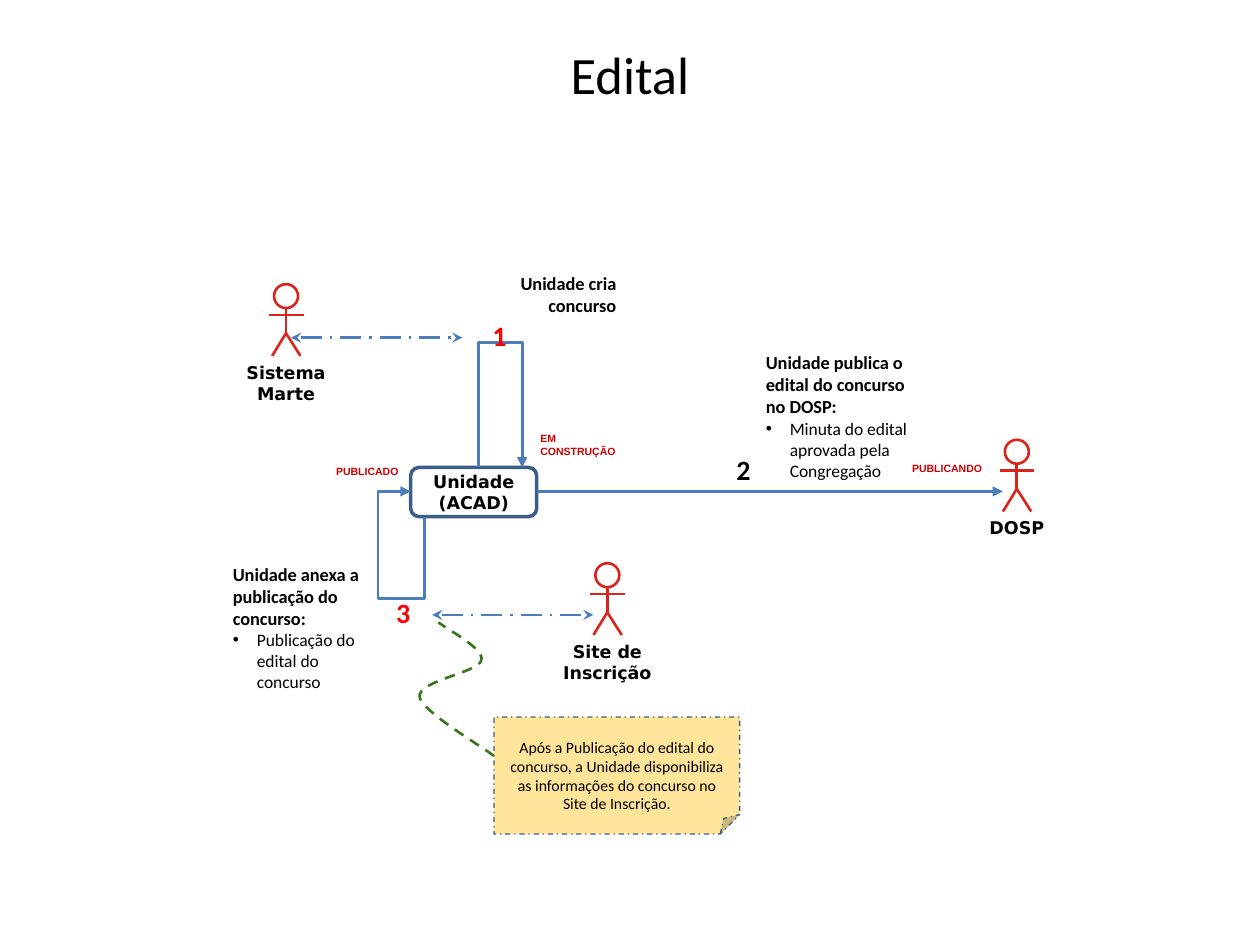
from lxml.etree import SubElement
from pptx import Presentation
from pptx.dml.color import RGBColor
from pptx.enum.dml import MSO_LINE
from pptx.enum.shapes import MSO_CONNECTOR, MSO_SHAPE
from pptx.enum.text import MSO_ANCHOR, PP_ALIGN
from pptx.oxml.ns import qn
from pptx.util import Inches, Pt

BLACK = RGBColor(0x00, 0x00, 0x00)
WHITE = RGBColor(0xFF, 0xFF, 0xFF)
RED = RGBColor(0xFF, 0x00, 0x00)
STATUS_RED = RGBColor(0xCC, 0x00, 0x00)
ACTOR_RED = RGBColor(0xDA, 0x25, 0x1D)
FLOW_BLUE = RGBColor(0x4A, 0x7D, 0xBA)
BORDER_BLUE = RGBColor(0x39, 0x5E, 0x89)
NOTE_YELLOW = RGBColor(0xFF, 0xE5, 0x99)
NOTE_GREEN = RGBColor(0x38, 0x76, 0x1D)

COLUMNS, ROWS = 100, 75
CELL = Inches(0.1)

TITLE = {"name": "Calibri", "size": Pt(30), "bold": False}
NAME = {"name": "DejaVu Sans", "size": Pt(10), "bold": True}
HEADING = {"name": "Calibri", "size": Pt(10.5), "bold": True}
BULLET = {"name": "Calibri", "size": Pt(10), "bold": False}
STEP = {"name": "Calibri", "size": Pt(16), "bold": True}
STATUS = {"name": "Arial", "size": Pt(6), "bold": True}
NOTE = {"name": "Calibri", "size": Pt(9), "bold": False}


def grid(*cells):
    return [round(cell * CELL) for cell in cells]


def bezier(start, control_a, control_b, end, steps=16):
    for step in range(1, steps + 1):
        t = step / steps
        weights = ((1 - t) ** 3, 3 * t * (1 - t) ** 2, 3 * t * t * (1 - t), t ** 3)
        corners = (start, control_a, control_b, end)
        yield tuple(sum(w * c[axis] for w, c in zip(weights, corners)) for axis in (0, 1))


class Diagram:
    def __init__(self, page):
        self.page = page
        self.shapes = page.shapes

    def stroke(self, item, color, width=1.5, dash=None, head=None, tail=None):
        item.line.color.rgb = color
        item.line.width = Pt(width)
        if dash:
            item.line.dash_style = dash
        outline = item.line._get_or_add_ln()
        for tag, kind in (("a:headEnd", head), ("a:tailEnd", tail)):
            if kind:
                SubElement(outline, qn(tag), type=kind)

    def fill_text(self, box, lines, style, color=BLACK, align=PP_ALIGN.LEFT,
                  anchor=MSO_ANCHOR.TOP, inset=0.5, bullets=()):
        frame = box.text_frame
        margin_x, margin_y = grid(1, inset)
        layout = {"word_wrap": True, "vertical_anchor": anchor,
                  "margin_left": margin_x, "margin_right": margin_x,
                  "margin_top": margin_y, "margin_bottom": margin_y}
        for key, value in layout.items():
            setattr(frame, key, value)
        entries = [(line, style) for line in lines] + [(line, BULLET) for line in bullets]
        for index, (line, form) in enumerate(entries):
            para = frame.add_paragraph() if index else frame.paragraphs[0]
            para.alignment = align
            if index >= len(lines):
                self.bullet(para)
            span = para.add_run()
            span.text = line
            for key, value in form.items():
                setattr(span.font, key, value)
            span.font.color.rgb = color

    def bullet(self, para):
        properties = para._p.get_or_add_pPr()
        indent = grid(1.9)[0]
        properties.set("marL", str(indent))
        properties.set("indent", str(-indent))
        tint = SubElement(properties, qn("a:buClr"))
        SubElement(tint, qn("a:srgbClr"), val=str(BLACK))
        SubElement(properties, qn("a:buFont"), typeface="Arial")
        SubElement(properties, qn("a:buChar"), char="•")

    def text(self, area, lines, style, **options):
        box = self.shapes.add_textbox(*grid(*area))
        self.fill_text(box, lines, style, **options)

    def shape(self, kind, area, fill, line, **options):
        shape = self.shapes.add_shape(kind, *grid(*area))
        shape.shadow.inherit = False
        shape.fill.solid()
        shape.fill.fore_color.rgb = fill
        self.stroke(shape, line, **options)
        return shape

    def straight(self, start, end, color=FLOW_BLUE, **options):
        line = self.shapes.add_connector(MSO_CONNECTOR.STRAIGHT, *grid(*start, *end))
        self.stroke(line, color, **options)
        SubElement(line._element.spPr, qn("a:effectLst"))

    def exchange(self, start, end):
        self.straight(start, end, dash=MSO_LINE.LONG_DASH_DOT, head="stealth", tail="stealth")

    def route(self, points, color=FLOW_BLUE, **options):
        corners = [grid(*point) for point in points]
        builder = self.shapes.build_freeform(*corners[0])
        builder.add_line_segments(corners[1:], close=False)
        outline = builder.convert_to_shape()
        outline.shadow.inherit = False
        outline.fill.background()
        self.stroke(outline, color, **options)

    def actor(self, x, y, lines, width):
        self.shape(MSO_SHAPE.OVAL, (x - 0.95, y, 1.9, 1.9), WHITE, ACTOR_RED)
        neck, hands, hips, feet = y + 1.9, y + 2.45, y + 3.9, y + 5.7
        for start, end in (((x, neck), (x, hips)),
                           ((x - 1.35, hands), (x + 1.4, hands)),
                           ((x, hips), (x - 1.1, feet)),
                           ((x, hips), (x + 1.15, feet))):
            self.straight(start, end, ACTOR_RED)
        self.text((x - width / 2, y + 5.65, width, 3.9), lines, NAME, align=PP_ALIGN.CENTER)

    def step(self, x, y, number, color):
        self.text((x - 2.3, y, 4.6, 4), [number], STEP, color=color, align=PP_ALIGN.CENTER)

    def status(self, area, label, align=PP_ALIGN.LEFT):
        self.text(area, [label], STATUS, color=STATUS_RED, align=align, inset=1)


def main():
    deck = Presentation()
    deck.slide_width, deck.slide_height = grid(COLUMNS, ROWS)
    diagram = Diagram(deck.slides.add_slide(deck.slide_layouts[6]))
    center, middle = PP_ALIGN.CENTER, MSO_ANCHOR.MIDDLE

    diagram.text((5, 3, 90, 5.7), ["Edital"], TITLE, align=center, anchor=middle, inset=1)

    unit = diagram.shape(MSO_SHAPE.ROUNDED_RECTANGLE, (32.6, 37.1, 10, 3.9),
                         WHITE, BORDER_BLUE, width=2)
    diagram.fill_text(unit, ["Unidade", "(ACAD)"], NAME, align=center, anchor=middle)

    diagram.route([(38, 37.1), (38, 27.2), (41.45, 27.2), (41.45, 37.1)], tail="triangle")
    diagram.straight((42.6, 39), (79.6, 39), tail="triangle")
    diagram.route([(33.7, 41), (33.7, 47.5), (30, 47.5), (30, 39), (32.6, 39)], tail="triangle")
    diagram.exchange((23.1, 26.8), (36.7, 26.8))
    diagram.exchange((34.3, 48.8), (47.1, 48.8))

    diagram.actor(22.7, 22.55, ["Sistema", "Marte"], 8.3)
    diagram.actor(80.7, 34.9, ["DOSP"], 6.4)
    diagram.actor(48.2, 44.7, ["Site de", "Inscrição"], 10.7)

    diagram.step(39.65, 24.8, "1", RED)
    diagram.step(59, 35.4, "2", BLACK)
    diagram.step(32, 46.8, "3", RED)

    diagram.text((39.2, 21.1, 10.7, 4.5), ["Unidade cria concurso"], HEADING, align=PP_ALIGN.RIGHT)
    diagram.text((59.8, 27.4, 13.6, 11.2), ["Unidade publica o edital do concurso no DOSP:"],
                 HEADING, bullets=["Minuta do edital aprovada pela Congregação"])
    diagram.text((17.5, 44.2, 13.6, 11.2), ["Unidade anexa a publicação do concurso:"],
                 HEADING, bullets=["Publicação do edital do concurso"])

    diagram.status((41.9, 33.3, 8.3, 3.4), "EM CONSTRUÇÃO")
    diagram.status((71.4, 36.2, 7.9, 2.6), "PUBLICANDO")
    diagram.status((24.7, 36.4, 7.9, 2.6), "PUBLICADO", PP_ALIGN.RIGHT)

    note = diagram.shape(MSO_SHAPE.FOLDED_CORNER, (39.2, 56.9, 19.5, 9.3), NOTE_YELLOW,
                         BORDER_BLUE, width=0.75, dash=MSO_LINE.DASH_DOT)
    diagram.fill_text(note, ["Após a Publicação do edital do concurso, a Unidade disponibiliza "
                             "as informações do concurso no Site de Inscrição."],
                      NOTE, align=center, anchor=middle)
    note.text_frame.margin_top = grid(2)[0]

    curves = [[(39.2, 60), (38.2, 59.2), (33.5, 56.5), (33.3, 55.3)],
              [(33.3, 55.3), (33.2, 54), (38, 53.4), (38.2, 52.4)],
              [(38.2, 52.4), (38.5, 51.5), (35.4, 49.9), (34.8, 49.4)]]
    trail = [curves[0][0]] + [point for curve in curves for point in bezier(*curve)]
    diagram.route(trail, NOTE_GREEN, dash=MSO_LINE.DASH)

    deck.save("out.pptx")


if __name__ == "__main__":
    main()
